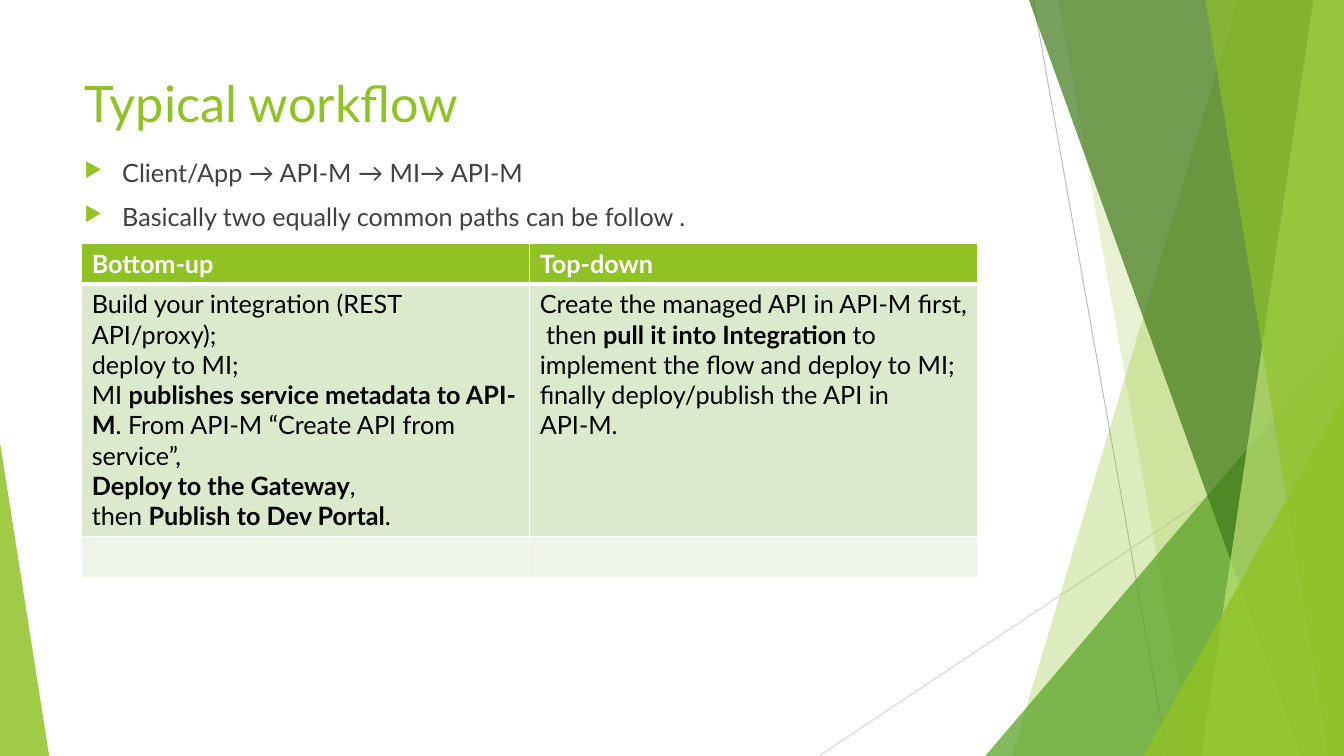
from dataclasses import dataclass
from typing import NamedTuple

from lxml.etree import SubElement
from pptx import Presentation
from pptx.dml.color import RGBColor
from pptx.enum.shapes import MSO_CONNECTOR, MSO_SHAPE
from pptx.oxml.ns import qn
from pptx.util import Cm, Pt


@dataclass(frozen=True)
class Theme:
    """Colours, font and type sizes of the deck."""
    font: str = "Lato"
    title_size: int = 36
    body_size: int = 18
    accent: str = "90C226"
    leaf: str = "54A021"
    forest: str = "3F7819"
    lime: str = "C0E474"
    body: str = "404040"
    black: str = "000000"
    white: str = "FFFFFF"
    band_dark: str = "DBE9CD"
    band_light: str = "EEF4E8"
    line: str = "BFBFBF"
    line_light: str = "D9D9D9"


class Box(NamedTuple):
    """A region in centimetres."""
    x: float
    y: float
    w: float
    h: float


THEME = Theme()
PAGE = Box(0, 0, 33.87, 19.05)

BULLETS = [
    "Client/App → API-M → MI→ API-M",
    "Basically two equally common paths can be follow .",
]
HEADERS = ["Bottom-up", "Top-down"]
PATHS = [
    [
        "Build your integration (REST API/proxy);",
        "deploy to MI;",
        "MI **publishes service metadata to API-M**. From API-M “Create API from service”,",
        "**Deploy to the Gateway**,",
        "then **Publish to Dev Portal**.",
    ],
    [
        "Create the managed API in API-M first,",
        " then **pull it into Integration **to implement the flow and deploy to MI; "
        "finally deploy/publish the API in",
        "API-M.",
    ],
]


def add_bullet(p, color):
    """Give a paragraph a hanging triangle bullet."""
    pPr = p._p.get_or_add_pPr()
    pPr.set("marL", str(Cm(0.95)))
    pPr.set("indent", str(-Cm(0.95)))
    clr = SubElement(pPr, qn("a:buClr"))
    SubElement(clr, qn("a:srgbClr"), val=color)
    SubElement(pPr, qn("a:buSzPct"), val="80000")
    SubElement(pPr, qn("a:buChar"), char="▶")


def write(tf, paragraphs, *, size, color, bold=False, before=0, bullet=None):
    """Fill a text frame; text between double asterisks is bold."""
    tf.word_wrap = True
    for i, text in enumerate(paragraphs):
        p = tf.add_paragraph() if i else tf.paragraphs[0]
        p.space_before = Pt(before)
        if bullet:
            add_bullet(p, bullet)
        for j, part in enumerate(text.split("**")):
            if part:
                r = p.add_run()
                r.text = part
                r.font.name = THEME.font
                r.font.size = Pt(size)
                r.font.bold = bold or j % 2 == 1
                r.font.color.rgb = RGBColor.from_string(color)


def paint(sp, color, opacity):
    """Give a shape a translucent fill without line or shadow."""
    sp.shadow.inherit = False
    sp.line.fill.background()
    sp.fill.solid()
    sp.fill.fore_color.rgb = RGBColor.from_string(color)
    clr = sp._element.spPr.find(qn("a:solidFill"))[0]
    SubElement(clr, qn("a:alpha"), val=str(opacity * 1000))


def add_line(s, start, end, color):
    """Draw a thin straight line."""
    sp = s.shapes.add_connector(
        MSO_CONNECTOR.STRAIGHT, *(Cm(v) for v in (*start, *end)))
    sp.line.color.rgb = RGBColor.from_string(color)
    sp.line.width = Pt(0.75)
    SubElement(sp._element.spPr, qn("a:effectLst"))


def add_facet(s, box, top, bottom, color, opacity):
    """Draw a facet from the right edge to a slanted left side."""
    right, foot = box.x + box.w, box.y + box.h
    fb = s.shapes.build_freeform(Cm(right - top), Cm(box.y))
    corners = [(right, box.y), (right, foot), (right - bottom, foot)]
    fb.add_line_segments([(Cm(x), Cm(y)) for x, y in corners])
    paint(fb.convert_to_shape(), color, opacity)


def add_corner(s, box, w, h, color, opacity, apex=1.0):
    """Draw a right triangle in a bottom corner of the box."""
    x = box.x + (box.w - w) * apex
    sp = s.shapes.add_shape(MSO_SHAPE.ISOSCELES_TRIANGLE,
                            Cm(x), Cm(box.y + box.h - h), Cm(w), Cm(h))
    sp.adjustments[0] = apex
    paint(sp, color, opacity)


def add_decoration(s, box):
    """Layer the lines, facets and corner triangles."""
    right, foot = box.x + box.w, box.y + box.h
    add_line(s, (right - 7.83, box.y), (right - 4.45, foot), THEME.line)
    add_line(s, (right, box.y + 10.24), (right - 13.23, foot), THEME.line_light)
    add_facet(s, box, 2.67, 8.37, THEME.accent, 30)
    add_facet(s, box, 7.2, 3.82, THEME.accent, 20)
    add_corner(s, box, 9.04, 10.59, THEME.leaf, 72)
    add_facet(s, box, 7.94, 1.08, THEME.forest, 70)
    add_facet(s, box, 0.77, 3.59, THEME.lime, 70)
    add_facet(s, box, 3.49, 0.39, THEME.accent, 65)
    add_corner(s, box, 5.05, 9.07, THEME.accent, 80)
    add_corner(s, box, 1.24, 7.9, THEME.accent, 85, apex=0.0)


def add_text(s, box, paragraphs, **fmt):
    """Place a text box over the given region."""
    sp = s.shapes.add_textbox(*(Cm(v) for v in box))
    write(sp.text_frame, paragraphs, **fmt)


def style_cell(cell, fill, top=1, bottom=1):
    """Set a cell's white borders and its fill."""
    tcPr = cell._tc.get_or_add_tcPr()
    for side, width in zip("LRTB", (1, 1, top, bottom)):
        ln = SubElement(tcPr, qn(f"a:ln{side}"), w=str(Pt(width)))
        SubElement(SubElement(ln, qn("a:solidFill")), qn("a:srgbClr"), val=THEME.white)
    cell.fill.solid()
    cell.fill.fore_color.rgb = RGBColor.from_string(fill)


def add_paths_table(s, box):
    """Compare the two workflow paths, with an empty closing row."""
    table = s.shapes.add_table(3, len(HEADERS), *(Cm(v) for v in box)).table
    for row, h in zip(table.rows, (1.0, box.h - 2.04, 1.04)):
        row.height = Cm(h)
    for i, (header, steps) in enumerate(zip(HEADERS, PATHS)):
        table.columns[i].width = Cm(box.w / len(HEADERS))
        head, body, foot = (table.cell(row, i) for row in range(3))
        write(head.text_frame, [header], size=THEME.body_size, color=THEME.white, bold=True)
        write(body.text_frame, steps, size=THEME.body_size, color=THEME.black)
        style_cell(head, THEME.accent, bottom=3)
        style_cell(body, THEME.band_dark, top=3)
        style_cell(foot, THEME.band_light)


def add_workflow_slide(prs, box):
    """Build the workflow slide inside the given page box."""
    s = prs.slides.add_slide(prs.slide_layouts[6])
    x, y = box.x + 1.88, box.y + 1.7
    add_decoration(s, box)
    add_text(s, Box(x, y, 23.88, 2.13), ["Typical workflow"],
             size=THEME.title_size, color=THEME.accent)
    add_text(s, Box(x, y + 2.14, 23.88, 10.77), BULLETS, size=THEME.body_size,
             color=THEME.body, before=10, bullet=THEME.accent)
    add_paths_table(s, Box(x + 0.18, y + 4.44, 22.58, 8.4))


def main():
    """Create and save the deck."""
    prs = Presentation()
    prs.slide_width, prs.slide_height = Cm(PAGE.w), Cm(PAGE.h)
    add_workflow_slide(prs, PAGE)
    prs.save("out.pptx")


if __name__ == "__main__":
    main()
